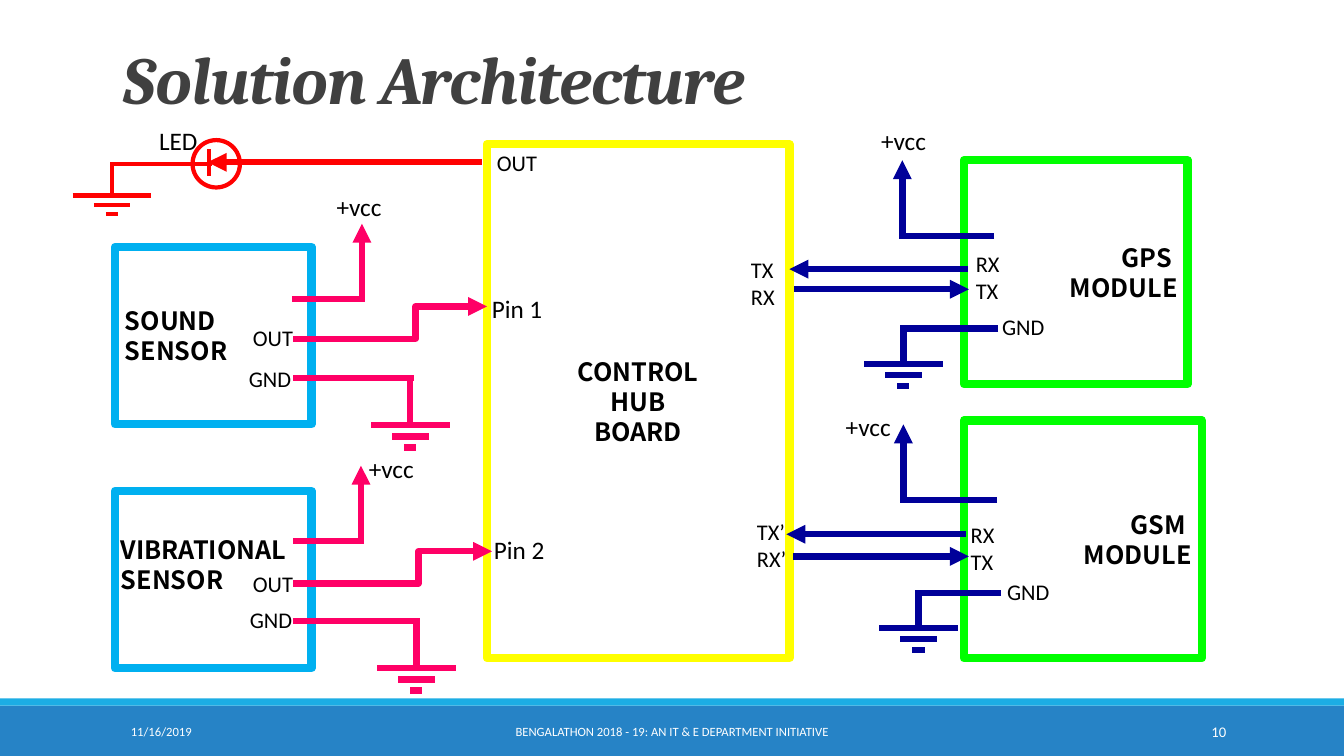
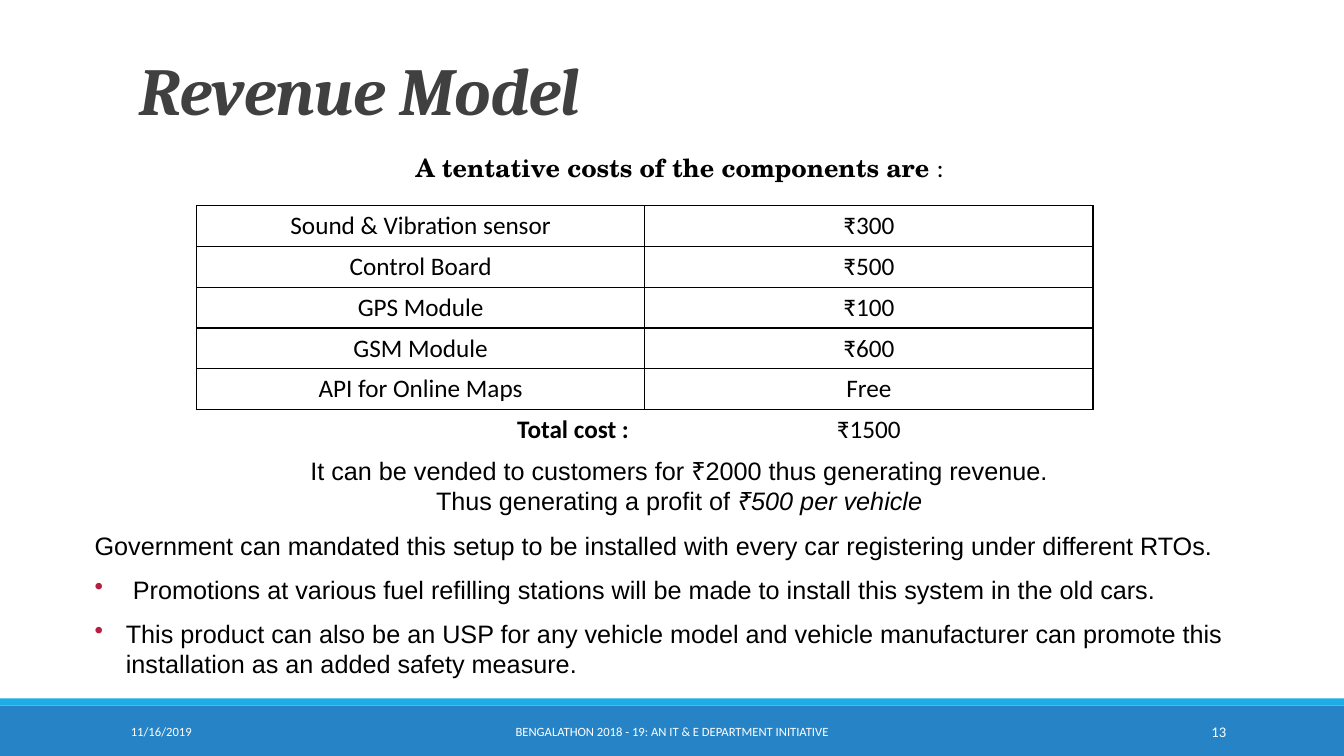
from dataclasses import dataclass

import lxml.etree as etree
import pptx
import pptx.dml.color
import pptx.enum.shapes
import pptx.enum.text
import pptx.oxml.ns
import pptx.shapes.autoshape
import pptx.shapes.connector
import pptx.slide
import pptx.table
import pptx.text.text
import pptx.util

Inches = pptx.util.Inches
Pt = pptx.util.Pt
qn = pptx.oxml.ns.qn
Align = pptx.enum.text.PP_ALIGN
Anchor = pptx.enum.text.MSO_ANCHOR
Preset = pptx.enum.shapes.MSO_SHAPE
Link = pptx.enum.shapes.MSO_CONNECTOR
Point = tuple[float, float]
Area = tuple[float, float, float, float]


@dataclass(frozen=True)
class Theme:
    band: str = "2683C6"
    accent: str = "1CADE4"
    title: str = "404040"
    ink: str = "000000"
    paper: str = "FFFFFF"
    bullet: str = "B71E42"
    sensor: str = "00B0F0"
    module: str = "00FF00"
    board: str = "FFFF00"
    sensor_wire: str = "FF0066"
    module_wire: str = "000099"
    led_wire: str = "FF0101"
    sans: str = "Calibri"
    heading: str = "Cambria"
    block: str = "Noto Sans CJK SC"
    serif: str = "TeX Gyre Schola"
    body: str = "Arial"
    title_size: float = 48
    text_size: float = 18
    pin_size: float = 16
    footer_size: float = 9
    number_size: float = 10.5
    block_leading: float = 21.5
    border: float = 6
    wire: float = 4.5
    thin_wire: float = 3
    rule: float = 1


THEME = Theme()


@dataclass(frozen=True)
class Style:
    font: str = THEME.sans
    size: float = THEME.text_size
    color: str = THEME.ink
    bold: bool = False
    italic: bool = False


PLAIN = Style()
PIN = Style(size=THEME.pin_size)
BLOCK = Style(THEME.block, bold=True)
BODY = Style(THEME.body)
FOOTER = Style(size=THEME.footer_size, color=THEME.paper)
PAGE_NUMBER = Style(size=THEME.number_size, color=THEME.paper)
TITLE = Style(THEME.heading, THEME.title_size, THEME.title, True, True)


@dataclass(frozen=True)
class Block:
    text: str
    area: Area
    color: str
    align: Align = Align.LEFT


@dataclass(frozen=True)
class Label:
    text: str
    area: Area
    style: Style = PIN


@dataclass(frozen=True)
class Lead:
    """A wire that runs sideways from start, then up or down to end."""
    start: Point
    end: Point
    color: str
    width: float = THEME.wire
    grounded: bool = False


@dataclass(frozen=True)
class Signal:
    start: Point
    end: Point
    color: str


@dataclass(frozen=True)
class Span:
    text: str
    style: Style = BODY


@dataclass(frozen=True)
class Line:
    spans: tuple[Span, ...]
    align: Align = Align.LEFT
    before: float = 0
    bullet: bool = False


BLOCKS = [
    Block("SOUND SENSOR", (1.14, 2.45, 1.95, 1.76), THEME.sensor),
    Block("", (1.14, 4.87, 1.95, 1.76), THEME.sensor),
    Block("GPS \nMODULE", (9.56, 1.59, 2.22, 2.22), THEME.module, Align.RIGHT),
    Block("GSM \nMODULE", (9.56, 4.17, 2.36, 2.36), THEME.module, Align.RIGHT),
    Block("CONTROL\nHUB\nBOARD", (4.83, 1.43, 3, 5.1), THEME.board, Align.CENTER),
]
LEADS = [
    Lead((2.9, 2.97), (3.59, 2.22), THEME.sensor_wire),
    Lead((2.91, 5.37), (3.58, 4.62), THEME.sensor_wire),
    Lead((2.91, 3.75), (4.07, 4.22), THEME.sensor_wire, grounded=True),
    Lead((2.91, 6.16), (4.13, 6.63), THEME.sensor_wire, grounded=True),
    Lead((9.86, 2.34), (8.95, 1.59), THEME.module_wire),
    Lead((9.89, 4.96), (8.96, 4.21), THEME.module_wire),
    Lead((9.9, 3.26), (8.96, 3.61), THEME.module_wire, grounded=True),
    Lead((9.93, 5.88), (9.11, 6.23), THEME.module_wire, grounded=True),
    Lead((2.1, 1.63), (1.11, 1.94), THEME.led_wire, THEME.thin_wire, True),
]
SIGNALS = [
    Signal((9.6, 2.67), (7.83, 2.67), THEME.module_wire),
    Signal((7.88, 2.87), (9.61, 2.87), THEME.module_wire),
    Signal((9.58, 5.3), (7.8, 5.3), THEME.module_wire),
    Signal((7.87, 5.52), (9.61, 5.52), THEME.module_wire),
    Signal((4.78, 1.61), (2.06, 1.61), THEME.led_wire),
]
STEPPED_SIGNALS = [
    Signal((3.41, 3.36), (4.83, 3.04), THEME.sensor_wire),
    Signal((3.42, 5.79), (4.88, 5.47), THEME.sensor_wire),
]
LABELS = [
    *(Label("+vcc", (left, top, 0.7, 0.4), PLAIN)
      for left, top in [(3.24, 1.85), (3.56, 4.45), (8.64, 1.19), (8.29, 4.03)]),
    *(Label("GND", (left, top, 0.76, 0.37))
      for left, top in [(9.84, 3.06), (9.89, 5.69), (2.37, 3.57), (2.38, 5.96)]),
    *(Label("OUT", (left, top, 0.81, 0.37))
      for left, top in [(2.41, 3.17), (2.41, 5.61), (4.83, 1.43)]),
    *(Label(text, (left, top, 1.07, 0.64))
      for text, left, top in [("RX\nTX", 9.58, 2.43), ("RX\nTX", 9.53, 5.12),
                              ("TX\nRX", 7.35, 2.49), ("TX’\nRX’", 7.41, 5.09)]),
    Label("VIBRATIONAL SENSOR", (1.1, 5.25, 2.21, 0.71), BLOCK),
    Label("LED", (1.48, 1.19, 0.7, 0.4), PLAIN),
    Label("Pin 1", (4.78, 2.86, 0.76, 0.4), PLAIN),
    Label("Pin 2", (4.8, 5.25, 0.76, 0.4), PLAIN),
]
COSTS = [
    ("Sound & Vibration sensor", "₹300"),
    ("Control Board", "₹500"),
    ("GPS Module", "₹100"),
    ("GSM Module", "₹600"),
    ("API for Online Maps", "Free"),
    ("Total cost : ", "₹1500"),
]
HEADING = [Line((Span("A tentative costs of the components are ", Style(THEME.serif, bold=True)),
                 Span(":", PLAIN)), Align.CENTER)]
REVENUE = [
    Line((Span("It can be vended to customers for ₹2000 thus generating revenue."),), Align.CENTER),
    Line((Span("Thus generating a profit of "),
          Span("₹500 per vehicle", Style(THEME.body, italic=True))), Align.CENTER),
    Line((Span("Government can mandated this setup to be installed with every car "
               "registering under different RTOs."),), before=10),
    Line((Span(" Promotions at various fuel refilling stations will be made to install "
               "this system in the old cars."),), before=10, bullet=True),
    Line((Span("This product can also be an USP for any vehicle model and vehicle manufacturer "
               "can promote this installation as an added safety measure."),),
         before=10, bullet=True),
]


def rgb(color: str) -> pptx.dml.color.RGBColor:
    return pptx.dml.color.RGBColor.from_string(color)


def format_span(span: pptx.text.text._Run, style: Style) -> None:
    font = span.font
    font.name, font.size = style.font, Pt(style.size)
    font.bold, font.italic = style.bold, style.italic
    font.color.rgb = rgb(style.color)


def write(frame: pptx.text.text.TextFrame, text: str, style: Style,
          align: Align = Align.LEFT) -> None:
    frame.word_wrap = True
    frame.text = text
    for para in frame.paragraphs:
        para.alignment = align
        if style.font == THEME.block:
            para.line_spacing = Pt(THEME.block_leading)
        for span in para.runs:
            format_span(span, style)


def add_text(page: pptx.slide.Slide, text: str, area: Area, style: Style,
             align: Align = Align.LEFT,
             anchor: Anchor = Anchor.TOP) -> pptx.text.text.TextFrame:
    frame = page.shapes.add_textbox(*map(Inches, area)).text_frame
    frame.vertical_anchor = anchor
    write(frame, text, style, align)
    return frame


def add_lines(page: pptx.slide.Slide, lines: list[Line], area: Area) -> None:
    frame = page.shapes.add_textbox(*map(Inches, area)).text_frame
    frame.word_wrap = True
    for index, line in enumerate(lines):
        para = frame.add_paragraph() if index else frame.paragraphs[0]
        para.alignment, para.space_before = line.align, Pt(line.before)
        for part in line.spans:
            span = para.add_run()
            span.text = part.text
            format_span(span, part.style)
        if line.bullet:
            properties = para._p.get_or_add_pPr()
            properties.set("marL", str(Inches(0.31)))
            properties.set("indent", str(-Inches(0.31)))
            color = etree.SubElement(properties, qn("a:buClr"))
            etree.SubElement(color, qn("a:srgbClr"), val=THEME.bullet)
            etree.SubElement(properties, qn("a:buChar"), char="•")


def add_box(page: pptx.slide.Slide, area: Area, fill: str | None = None,
            border: str | None = None, width: float = THEME.border,
            preset: Preset = Preset.RECTANGLE) -> pptx.shapes.autoshape.Shape:
    box = page.shapes.add_shape(preset, *map(Inches, area))
    box.shadow.inherit = False
    if fill:
        box.fill.solid()
        box.fill.fore_color.rgb = rgb(fill)
    else:
        box.fill.background()
    if border:
        box.line.color.rgb = rgb(border)
        box.line.width = Pt(width)
    else:
        box.line.fill.background()
    return box


def add_wire(page: pptx.slide.Slide, start: Point, end: Point, color: str,
             width: float = THEME.wire, arrow: bool = False, kind: Link = Link.STRAIGHT) -> None:
    wire = page.shapes.add_connector(kind, *map(Inches, (*start, *end)))
    wire.line.color.rgb = rgb(color)
    wire.line.width = Pt(width)
    if arrow:
        etree.SubElement(wire.line._get_or_add_ln(), qn("a:tailEnd"), type="triangle")
    etree.SubElement(wire._element.spPr, qn("a:effectLst"))


def add_lead(page: pptx.slide.Slide, lead: Lead) -> None:
    (left, top), (x, y) = lead.start, lead.end
    half = Pt(lead.width).inches / 2
    corner = x + half if x > left else x - half
    add_wire(page, lead.start, (corner, top), lead.color, lead.width)
    add_wire(page, (x, top), lead.end, lead.color, lead.width, not lead.grounded)
    if lead.grounded:
        step = 0.11 if lead.width == THEME.wire else 0.09
        for index, reach in enumerate((0.39, 0.18, 0.06)):
            level = y + index * step
            add_wire(page, (x - reach, level), (x + reach, level), lead.color, lead.width)


def add_page(deck: pptx.presentation.Presentation, title: str, title_area: Area,
             number: int) -> pptx.slide.Slide:
    page = deck.slides.add_slide(deck.slide_layouts[6])
    add_box(page, (0, 7, 13.33, 0.5), THEME.band)
    add_box(page, (0, 6.93, 13.33, 0.07), THEME.accent)
    para = add_text(page, title, title_area, TITLE, anchor=Anchor.BOTTOM).paragraphs[0]
    para.line_spacing = 0.85
    para.runs[0]._r.get_or_add_rPr().set("spc", "-50")
    for text, left, width, style, align in (
            ("11/16/2019", 1.2, 2.7, FOOTER, Align.LEFT),
            ("BENGALATHON 2018 - 19: AN IT & E DEPARTMENT INITIATIVE", 4.03, 5.27,
             FOOTER, Align.CENTER),
            (str(number), 10.83, 1.43, PAGE_NUMBER, Align.RIGHT)):
        add_text(page, text, (left, 7.06, width, 0.4), style, align, Anchor.MIDDLE)
    return page


def set_borders(cell: pptx.table._Cell, drawn: str) -> None:
    """Rule the sides named in drawn (of L, R, T, B) and clear the others."""
    properties = cell._tc.get_or_add_tcPr()
    for index, side in enumerate("LRTB"):
        line = etree.Element(qn(f"a:ln{side}"), w=str(Pt(THEME.rule)))
        if side in drawn:
            fill = etree.SubElement(line, qn("a:solidFill"))
            etree.SubElement(fill, qn("a:srgbClr"), val=THEME.ink)
        else:
            etree.SubElement(line, qn("a:noFill"))
        properties.insert(index, line)


def add_cost_table(page: pptx.slide.Slide) -> None:
    area = map(Inches, (1.95, 2.04, 8.89, 2.43))
    table = page.shapes.add_table(len(COSTS), 2, *area).table
    table.first_row = table.horz_banding = False
    for row, texts in enumerate(COSTS):
        total = row == len(COSTS) - 1
        for column, text in enumerate(texts):
            cell = table.cell(row, column)
            total_name = total and column == 0
            write(cell.text_frame, text, Style(bold=total_name),
                  Align.RIGHT if total_name else Align.CENTER)
            cell.fill.background()
            set_borders(cell, "T" if total else "LRTB")


def build_architecture(deck: pptx.presentation.Presentation) -> None:
    page = add_page(deck, "Solution Architecture", (1.12, 0.44, 11, 0.78), 10)
    for block in BLOCKS:
        box = add_box(page, block.area, THEME.paper, block.color)
        box.text_frame.vertical_anchor = Anchor.MIDDLE
        write(box.text_frame, block.text, BLOCK, block.align)
    for lead in LEADS:
        add_lead(page, lead)
    for signal in SIGNALS:
        add_wire(page, signal.start, signal.end, signal.color, arrow=True)
    for signal in STEPPED_SIGNALS:
        x, y = signal.start
        add_wire(page, (2.91, y), (x + 0.1, y), signal.color)
        add_wire(page, signal.start, signal.end, signal.color, arrow=True, kind=Link.ELBOW)
    add_wire(page, (2.07, 1.48), (2.07, 1.75), THEME.led_wire, THEME.thin_wire)
    add_box(page, (1.91, 1.39, 0.47, 0.47), border=THEME.led_wire,
            width=THEME.thin_wire, preset=Preset.OVAL)
    for label in LABELS:
        add_text(page, label.text, label.area, label.style)


def build_revenue(deck: pptx.presentation.Presentation) -> None:
    page = add_page(deck, "Revenue Model", (1.28, 0.47, 11, 0.86), 13)
    add_lines(page, HEADING, (0.48, 1.46, 12.52, 0.4))
    add_lines(page, REVENUE, (0.84, 4.47, 11.79, 2.34))
    add_cost_table(page)


def main() -> None:
    deck = pptx.Presentation()
    deck.slide_width, deck.slide_height = Inches(13.33), Inches(7.5)
    build_architecture(deck)
    build_revenue(deck)
    deck.save("out.pptx")


if __name__ == "__main__":
    main()
